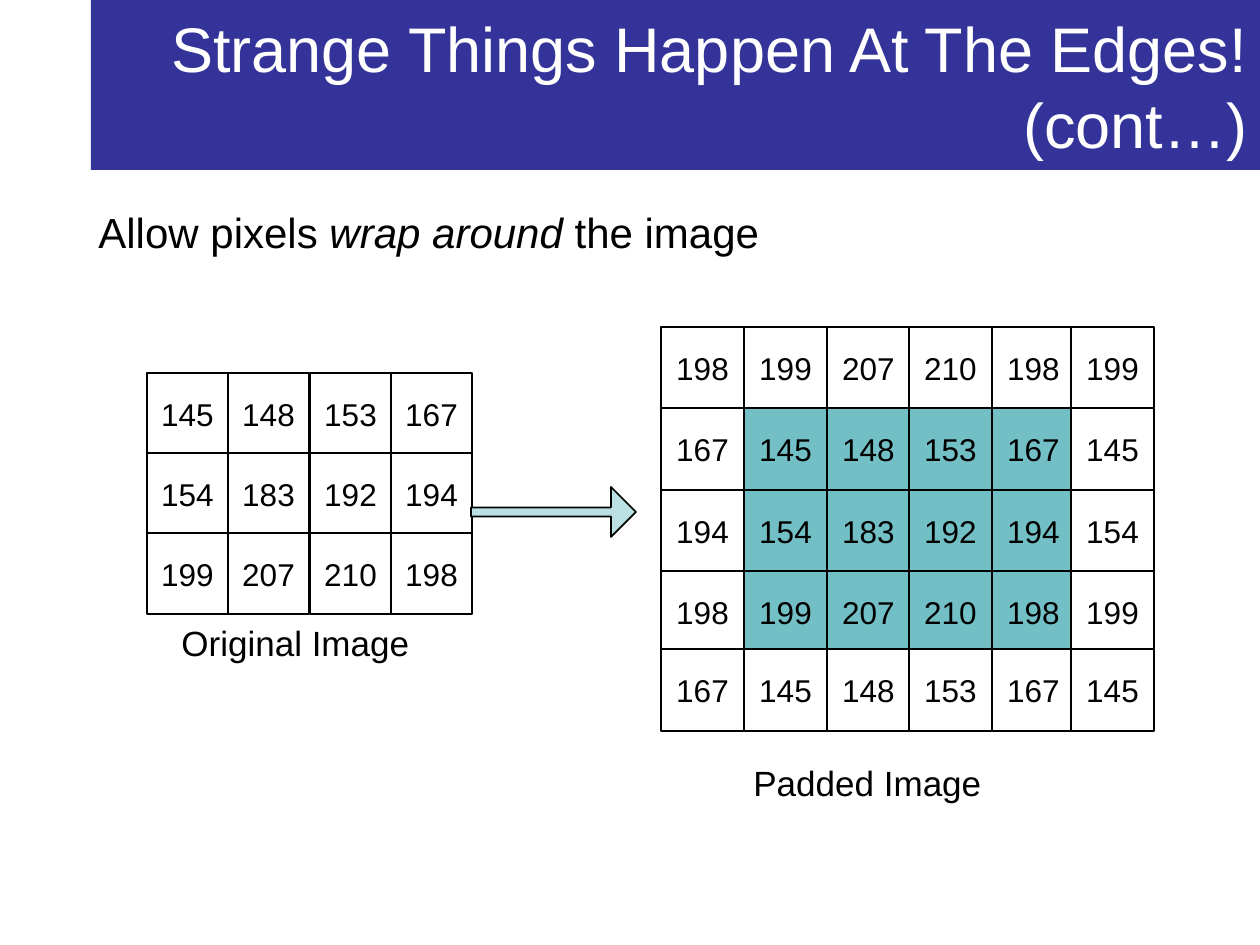
from dataclasses import dataclass

from pptx import Presentation
from pptx.dml.color import RGBColor
from pptx.enum.shapes import MSO_SHAPE
from pptx.enum.text import MSO_ANCHOR, MSO_AUTO_SIZE, PP_ALIGN
from pptx.util import Inches, Pt

PX = Inches(1) // 126


@dataclass(frozen=True)
class Theme:
    font: str = "Arial"
    banner: str = "333399"
    paper: str = "FFFFFF"
    ink: str = "000000"
    kept: str = "72BFC5"
    arrow: str = "BBE0E3"
    title_size: int = 36
    lead_size: int = 24
    caption_size: int = 20
    pixel_size: int = 18
    line: int = 1


THEME = Theme()

TITLE = "Strange Things Happen At The Edges! (cont…)"
LEAD = [("Allow pixels ", False), ("wrap around", True), (" the image", False)]
CAPTIONS = [("Original Image", (106, 615, 325, 55)), ("Padded Image", (678, 755, 325, 55))]
ORIGINAL = [
    [145, 148, 153, 167],
    [154, 183, 192, 194],
    [199, 207, 210, 198],
]
ORIGINAL_GRID = dict(lefts=[147, 228, 310, 391], tops=[373, 453, 533], cell=(81, 81))
PADDED_GRID = dict(
    lefts=[661, 744, 827, 909, 992, 1071], tops=[327, 408, 490, 571, 649], cell=(83, 82)
)


def emu(box):
    return [px * PX for px in box]


def wrap_around(image):
    height, width = len(image), len(image[0])
    return [
        [image[row % height][column % width] for column in range(-1, width + 1)]
        for row in range(-1, height + 1)
    ]


def style(paragraph, size, color):
    paragraph.font.name = THEME.font
    paragraph.font.size = Pt(size)
    paragraph.font.color.rgb = RGBColor.from_string(color)


def add_block(shapes, kind, box, fill, outlined=True):
    block = shapes.add_shape(kind, *emu(box))
    block.shadow.inherit = False
    block.fill.solid()
    block.fill.fore_color.rgb = RGBColor.from_string(fill)
    if outlined:
        block.line.color.rgb = RGBColor.from_string(THEME.ink)
        block.line.width = Pt(THEME.line)
    else:
        block.line.fill.background()
    return block


def write(block, text, align, size, color):
    block.text_frame.word_wrap = True
    block.text_frame.vertical_anchor = MSO_ANCHOR.MIDDLE
    paragraph = block.text_frame.paragraphs[0]
    paragraph.text = text
    paragraph.alignment = align
    style(paragraph, size, color)


def add_label(shapes, box, runs, size):
    frame = shapes.add_textbox(*emu(box)).text_frame
    frame.word_wrap = True
    frame.auto_size = MSO_AUTO_SIZE.SHAPE_TO_FIT_TEXT
    paragraph = frame.paragraphs[0]
    paragraph.level = 1
    properties = paragraph._p.get_or_add_pPr()
    properties.set("marL", str(63 * PX))
    properties.set("indent", "0")
    for text, italic in runs:
        run = paragraph.add_run()
        run.text = text
        if italic:
            run.font.italic = True
    style(paragraph, size, THEME.ink)


def add_pixels(shapes, image, grid, border=None):
    pixels = shapes.add_group_shape().shapes
    last_row, last_column = len(image) - 1, len(image[0]) - 1
    for row, (top, values) in enumerate(zip(grid["tops"], image)):
        for column, (left, value) in enumerate(zip(grid["lefts"], values)):
            inside = 0 < row < last_row and 0 < column < last_column
            fill = THEME.kept if border and inside else THEME.paper
            pixel = add_block(pixels, MSO_SHAPE.RECTANGLE, (left, top, *grid["cell"]), fill)
            write(pixel, str(value), PP_ALIGN.CENTER, THEME.pixel_size, THEME.ink)


def main():
    presentation = Presentation()
    presentation.slide_width = 1260 * PX
    presentation.slide_height = 945 * PX
    shapes = presentation.slides.add_slide(presentation.slide_layouts[6]).shapes

    banner = add_block(shapes, MSO_SHAPE.RECTANGLE, (91, 0, 1169, 170), THEME.banner, outlined=False)
    write(banner, TITLE, PP_ALIGN.RIGHT, THEME.title_size, THEME.paper)
    add_label(shapes, (23, 200, 853, 64), LEAD, THEME.lead_size)

    add_pixels(shapes, ORIGINAL, ORIGINAL_GRID)
    add_pixels(shapes, wrap_around(ORIGINAL), PADDED_GRID, border=True)

    arrow = add_block(shapes, MSO_SHAPE.RIGHT_ARROW, (471, 487, 165, 50), THEME.arrow)
    arrow.adjustments[0] = 0.18
    arrow.adjustments[1] = 0.5

    for caption, box in CAPTIONS:
        add_label(shapes, box, [(caption, False)], THEME.caption_size)

    presentation.save("out.pptx")


if __name__ == "__main__":
    main()
